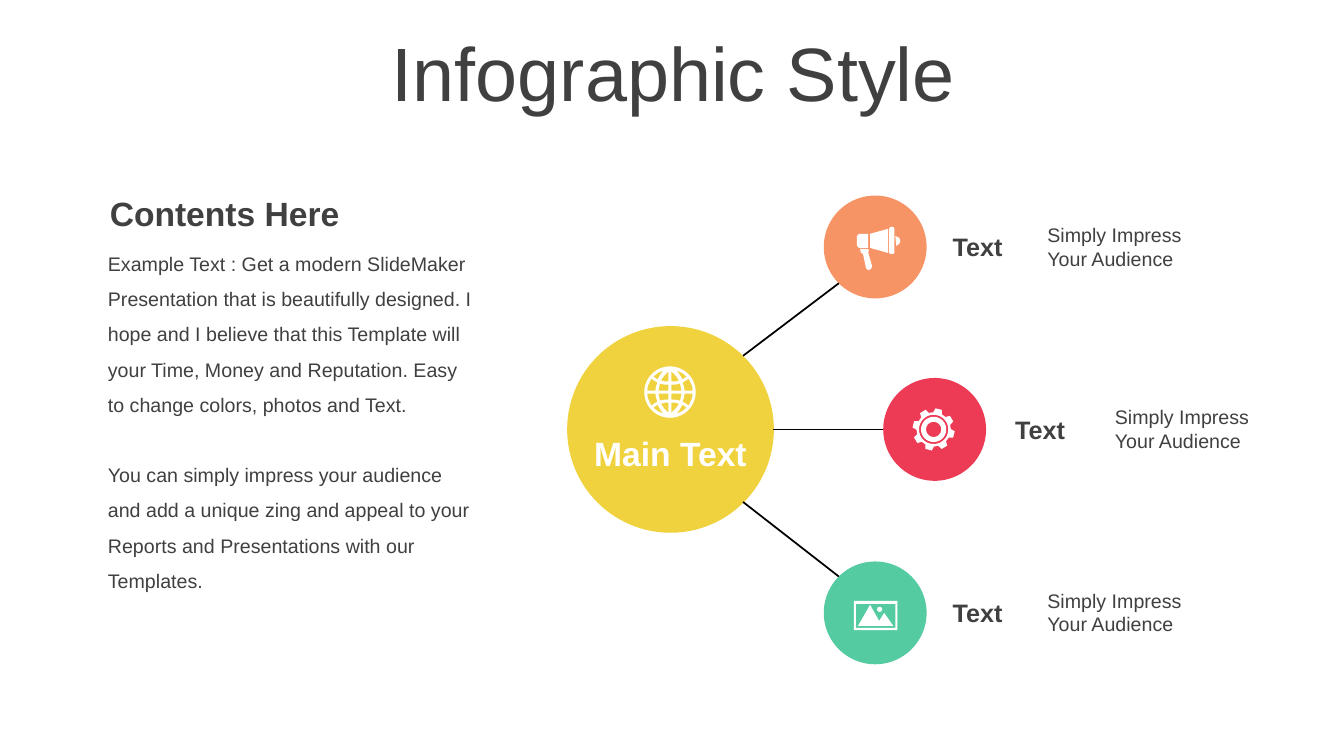
import math

import lxml.etree
import pptx
import pptx.dml.color
import pptx.enum.shapes
import pptx.enum.text
import pptx.oxml.ns
import pptx.util

RGBColor = pptx.dml.color.RGBColor
PP_ALIGN = pptx.enum.text.PP_ALIGN
MSO_ANCHOR = pptx.enum.text.MSO_ANCHOR

PX = 9144
FONT = "Arial"
DARK = RGBColor(0x40, 0x40, 0x40)
BLACK = RGBColor(0, 0, 0)
WHITE = RGBColor(0xFF, 0xFF, 0xFF)
YELLOW = RGBColor(0xF0, 0xD2, 0x3F)
ORANGE = RGBColor(0xF7, 0x94, 0x65)
RED = RGBColor(0xED, 0x3B, 0x55)
GREEN = RGBColor(0x54, 0xCB, 0xA0)

HUB_X, HUB_Y, HUB_R = 665, 426, 102.5
NODE_R = 51

BODY = [
    "Example Text : Get a modern SlideMaker  Presentation that is beautifully "
    "designed. I hope and I believe that this Template will your Time, Money "
    "and Reputation. Easy to change colors, photos and Text.",
    "You can simply impress your audience and add a unique zing and appeal to "
    "your Reports and Presentations with our Templates.",
]
CAPTION = ["Simply Impress", "Your Audience"]

# colour, circle centre x and y, label left, caption left, line from and to
BRANCHES = [
    (ORANGE, 868, 245, 935, 1029, (832, 281), (737, 353)),
    (RED, 927, 426, 997, 1096, (876, 426), (767, 426)),
    (GREEN, 868, 608, 935, 1029, (832, 572), (737, 498)),
]

GLOBE_CELLS = [
    [(1.5, 1.5), (11.5, 1.5), (10, 8.5), (5.5, 7.5), (1.5, 7.5)],
    [(14.5, 1.5), (22.5, 1.5), (22, 6), (18.5, 13.5), (16, 11.5),
     (12.5, 9.5), (14, 5)],
    [(1.5, 10.5), (5, 10.5), (9, 11.5), (6, 16), (1.5, 20.5)],
    [(12.5, 12.5), (16.5, 15.5), (12, 19), (6.5, 21.5), (9.5, 17.5)],
]
MEGAPHONE = [
    [(861, 247), (862, 249), (861, 250), (865, 264), (864, 267), (861, 268),
     (859, 266), (856, 252), (854, 251), (853, 247)],
    [(888, 234), (892, 236), (893, 239), (892, 242), (889, 244)],
    [(852, 232), (861, 232), (861, 246), (852, 246), (850, 244), (850, 234)],
    [(881, 227), (881, 251), (863, 246), (863, 232)],
    [(883, 225), (886, 225), (887, 227), (887, 251), (886, 252), (883, 252),
     (882, 251), (882, 227)],
]
MOUNTAINS = [(863, 600), (872, 616), (877, 608), (886, 621), (851, 621)]


def px(*lengths):
    """Turn pixel lengths into EMU."""
    return [round(v * PX) for v in lengths]


def polar(cx, cy, r, deg):
    """Return the point at an angle clockwise from the top."""
    a = math.radians(deg)
    return cx + r * math.sin(a), cy - r * math.cos(a)


def ring(cx, cy, r):
    """Return the outline of a circle."""
    return [polar(cx, cy, r, deg) for deg in range(0, 360, 6)]


def box(x1, y1, x2, y2):
    """Return the outline of a rectangle."""
    return [(x1, y1), (x2, y1), (x2, y2), (x1, y2)]


def globe(cx, cy):
    """Return a disc with its grid cells cut out."""
    cells = [[(cx + sx * x, cy + sy * y) for x, y in cell]
             for cell in GLOBE_CELLS for sx in (1, -1) for sy in (1, -1)]
    return [ring(cx, cy, 25.5)] + cells


def gear(cx, cy):
    """Return an eight-toothed wheel with its rings."""
    tooth = [(17, -15), (21, -9), (21, 9), (17, 15)]
    rim = [polar(cx, cy, r, 14 + 45 * k + d) for k in range(8) for r, d in tooth]
    return [rim] + [ring(cx, cy, r) for r in (14.5, 12.5, 7.5)]


def photo():
    """Return a framed landscape."""
    return [box(847, 596, 890, 625), box(849, 599, 888, 623),
            MOUNTAINS, ring(872.5, 604.5, 2.5)]


def paint(sp, color):
    """Fill a shape plainly."""
    sp.shadow.inherit = False
    sp.fill.solid()
    sp.fill.fore_color.rgb = color
    sp.line.fill.background()


def add_icon(s, outlines):
    """Draw closed outlines as one white shape."""
    loops = [[px(*pt) for pt in loop] for loop in outlines]
    fb = s.shapes.build_freeform(*loops[0][0])
    for i, loop in enumerate(loops):
        if i:
            fb.move_to(*loop[0])
        fb.add_line_segments(loop[1:], close=True)
    paint(fb.convert_to_shape(), WHITE)


def add_circle(s, cx, cy, r, color):
    """Draw a filled circle around a centre."""
    oval = pptx.enum.shapes.MSO_SHAPE.OVAL
    paint(s.shapes.add_shape(oval, *px(cx - r, cy - r, 2 * r, 2 * r)), color)


def add_line(s, start, end):
    """Draw a thin black line."""
    straight = pptx.enum.shapes.MSO_CONNECTOR.STRAIGHT
    c = s.shapes.add_connector(straight, *px(*start, *end))
    c.line.color.rgb = BLACK
    c.line.width = pptx.util.Pt(1.25)
    lxml.etree.SubElement(c._element.spPr, pptx.oxml.ns.qn("a:effectLst"))


def style(p, size, color=DARK, bold=False, align=PP_ALIGN.LEFT):
    """Format a whole paragraph."""
    p.alignment = align
    p.font.name = FONT
    p.font.size = pptx.util.Pt(size)
    p.font.bold = bold
    p.font.color.rgb = color


def add_text(s, x, y, w, h, lines, size, anchor=MSO_ANCHOR.TOP, **look):
    """Add a wrapped text box with one paragraph per line."""
    tf = s.shapes.add_textbox(*px(x, y, w, h)).text_frame
    tf.word_wrap = True
    tf.vertical_anchor = anchor
    tf.text = "\n".join(lines)
    for p in tf.paragraphs:
        style(p, size, **look)
    return tf


def add_title(s, text):
    """Place and format the title."""
    sp = s.shapes.title
    sp.left, sp.top, sp.width, sp.height = px(35, 37, 1266, 79)
    tf = sp.text_frame
    tf.text = text
    tf.vertical_anchor = MSO_ANCHOR.MIDDLE
    p = tf.paragraphs[0]
    p.line_spacing = 0.9
    style(p, 54, align=PP_ALIGN.CENTER)


def add_body(s):
    """Add the heading and the running text on the left."""
    tf = add_text(s, 99, 233, 378, 359, BODY, 14)
    tf.margin_left = tf.margin_right = px(8)[0]
    for p in tf.paragraphs:
        p.line_spacing = 1.5
    tf.paragraphs[1].space_before = pptx.util.Pt(25)
    add_text(s, 99, 186, 378, 50, ["Contents Here"], 24, bold=True)


def add_branch(s, color, cx, cy, label_x, caption_x, start, end):
    """Add one circle with its line, label and caption."""
    add_circle(s, cx, cy, NODE_R, color)
    add_line(s, start, end)
    add_text(s, label_x, cy - 20, 79, 40, ["Text"], 18, bold=True)
    add_text(s, caption_x, cy - 29, 173, 57, CAPTION, 14, MSO_ANCHOR.MIDDLE)


def main():
    """Build the slide and save it."""
    prs = pptx.Presentation()
    prs.slide_width, prs.slide_height = px(1333, 750)
    s = prs.slides.add_slide(prs.slide_layouts[5])
    add_title(s, "Infographic Style")
    add_body(s)
    add_circle(s, HUB_X, HUB_Y, HUB_R, YELLOW)
    for branch in BRANCHES:
        add_branch(s, *branch)
    add_text(s, 565, 425, 200, 50, ["Main Text"], 24,
             color=WHITE, bold=True, align=PP_ALIGN.CENTER)
    for outlines in (globe(664.5, 389), MEGAPHONE, photo(), gear(926, 426)):
        add_icon(s, outlines)
    prs.save("out.pptx")


if __name__ == "__main__":
    main()
